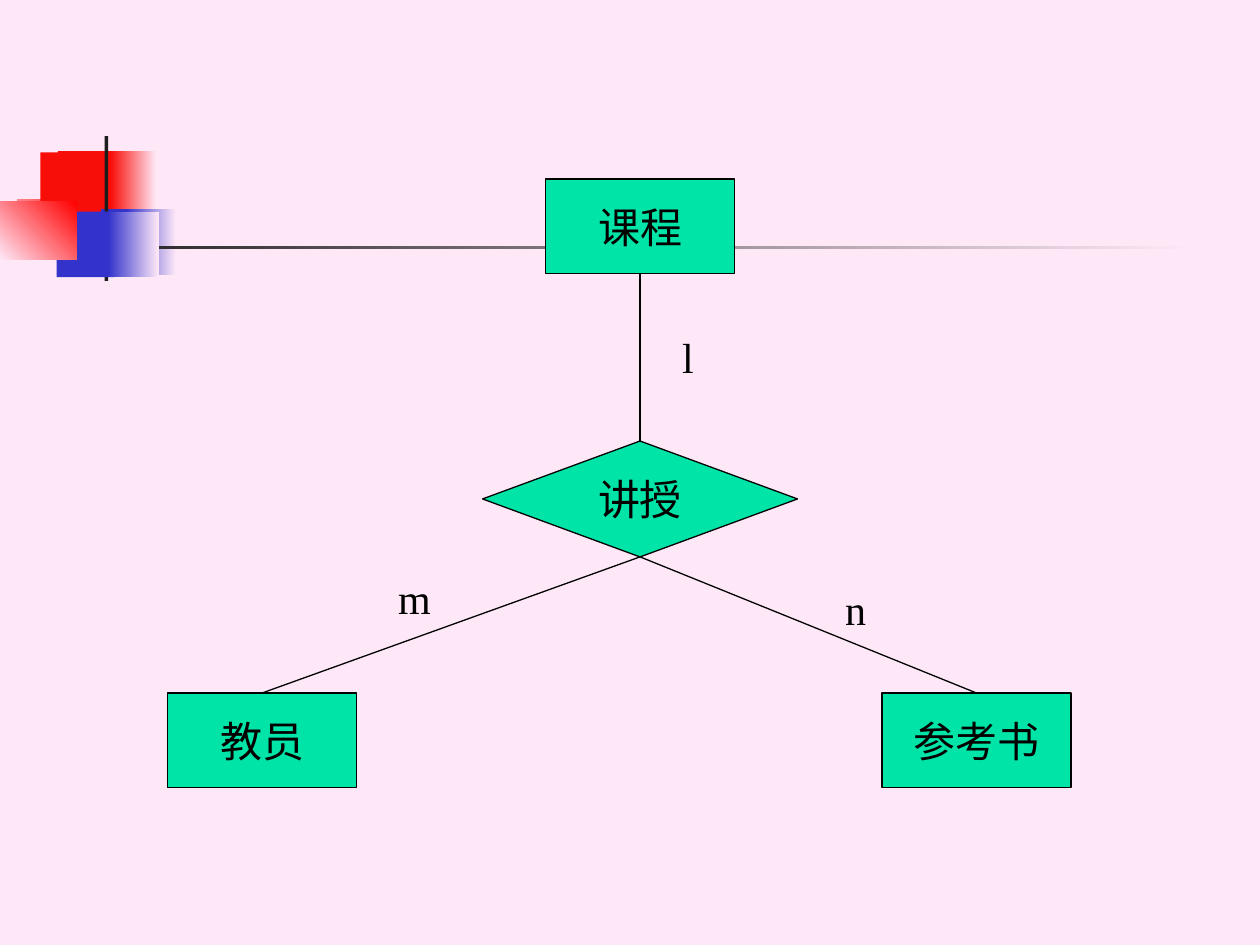
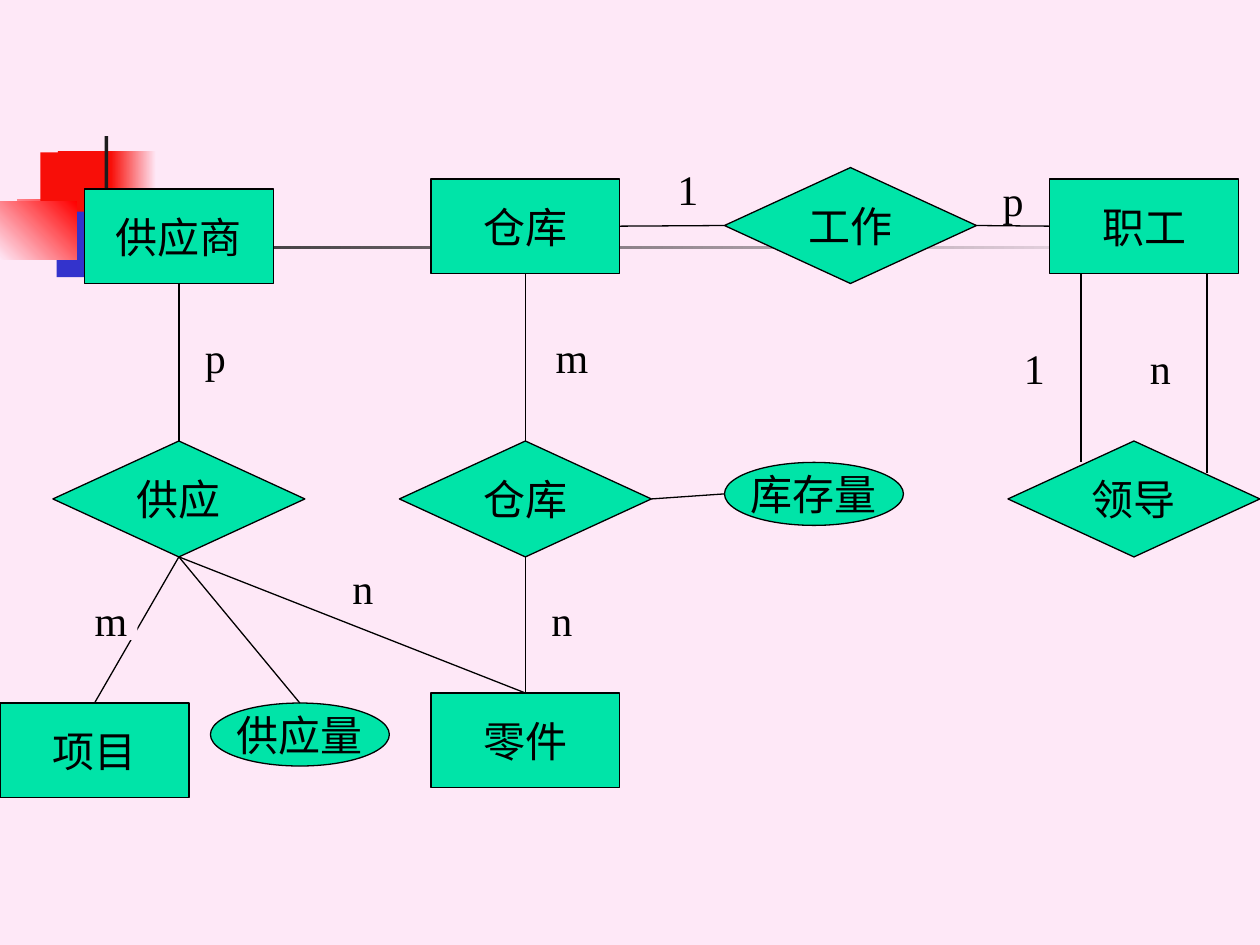
from dataclasses import dataclass

from lxml.etree import SubElement
from pptx import Presentation
from pptx.dml.color import RGBColor
from pptx.enum.shapes import MSO_CONNECTOR, MSO_SHAPE
from pptx.enum.text import MSO_ANCHOR, PP_ALIGN
from pptx.oxml.ns import qn
from pptx.util import Inches, Pt


@dataclass(frozen=True)
class Theme:
    paper: str = "FEE8F7"
    node: str = "00E4A8"
    ink: str = "000000"
    bar: str = "1C1C1C"
    red: str = "F80E08"
    bright_red: str = "FF0000"
    blue: str = "3333CC"
    font: str = "Times New Roman"
    size: int = 24
    line: float = 0.75


T = Theme()
TOP, LEFT, BOTTOM, RIGHT = range(4)

# left, top, width, height, colours (two make a gradient), gradient angle
MOTIF = [
    (0.46, 1.2, 0.48, 0.52, [T.red], 0),
    (0.88, 1.2, 0.36, 0.52, [T.red, T.paper], 0),
    (0.59, 1.66, 0.46, 0.52, [T.blue], 0),
    (1, 1.66, 0.4, 0.52, [T.blue, T.paper], 0),
    (0.14, 1.58, 0.61, 0.46, [T.paper, T.bright_red], 45),
    (0.83, 1.08, 0.03, 1.15, [T.bar], 0),
    (0.48, 1.95, 9, 0.03, [T.bar, T.paper], 0),
    (0.32, 1.21, 0.48, 0.52, [T.red], 0),
    (0.45, 1.68, 0.46, 0.52, [T.blue], 0),
    (0.86, 1.68, 0.4, 0.52, [T.blue, T.paper], 0),
    (0, 1.6, 0.61, 0.46, [T.paper, T.bright_red], 45),
]

# preset, width, height
KINDS = {
    "entity": (MSO_SHAPE.RECTANGLE, 1.5, 0.75),
    "relation": (MSO_SHAPE.DIAMOND, 2, 0.92),
    "wide relation": (MSO_SHAPE.DIAMOND, 2.5, 0.92),
    "attribute": (MSO_SHAPE.OVAL, 1.42, 0.5),
}
LABEL_SIZE = (0.42, 0.33)

# nodes: kind, text, left, top; links: node, side, node, side;
# loose: from x, y to x, y; labels: text, left, top
DIAGRAMS = [
    {
        "nodes": {
            "course": ("entity", "课程", 4.33, 1.42),
            "teacher": ("entity", "教员", 1.33, 5.5),
            "book": ("entity", "参考书", 7, 5.5),
            "teach": ("wide relation", "讲授", 3.83, 3.5),
        },
        "links": [
            ("teach", BOTTOM, "teacher", TOP),
            ("teach", BOTTOM, "book", TOP),
            ("teach", TOP, "course", BOTTOM),
        ],
        "loose": [],
        "labels": [("l", 5.25, 2.67), ("m", 3.08, 4.58), ("n", 6.58, 4.67)],
    },
    {
        "nodes": {
            "supplier": ("entity", "供应商", 0.67, 1.5),
            "project": ("entity", "项目", 0, 5.58),
            "part": ("entity", "零件", 3.42, 5.5),
            "supply": ("relation", "供应", 0.42, 3.5),
            "warehouse": ("entity", "仓库", 3.42, 1.42),
            "staff": ("entity", "职工", 8.33, 1.42),
            "work": ("relation", "工作", 5.75, 1.33),
            "storage": ("relation", "仓库", 3.17, 3.5),
            "lead": ("relation", "领导", 8, 3.5),
            "stock": ("attribute", "库存量", 5.75, 3.67),
            "quantity": ("attribute", "供应量", 1.67, 5.58),
        },
        "links": [
            ("supply", BOTTOM, "project", TOP),
            ("supply", BOTTOM, "part", TOP),
            ("supply", TOP, "supplier", BOTTOM),
            ("warehouse", BOTTOM, "storage", TOP),
            ("storage", BOTTOM, "part", TOP),
            ("warehouse", RIGHT, "work", LEFT),
            ("work", RIGHT, "staff", LEFT),
            ("supply", BOTTOM, "quantity", TOP),
            ("storage", RIGHT, "stock", LEFT),
        ],
        "loose": [(8.58, 2.17, 8.58, 3.67), (9.58, 3.75, 9.58, 2.17)],
        "labels": [
            ("p", 1.5, 2.67), ("m", 0.67, 4.75), ("n", 2.67, 4.5),
            ("m", 4.33, 2.67), ("n", 4.25, 4.75), ("p", 7.83, 1.42),
            ("n", 9, 2.75), ("1", 8, 2.75), ("1", 5.25, 1.33),
        ],
    },
]


def rgb(code):
    return RGBColor.from_string(code)


def add_box(slide, preset, box, colours, angle=0):
    s = slide.shapes.add_shape(preset, *map(Inches, box))
    s.shadow.inherit = False
    s.line.fill.background()
    if len(colours) == 1:
        s.fill.solid()
        s.fill.fore_color.rgb = rgb(colours[0])
    else:
        s.fill.gradient()
        s.fill.gradient_angle = angle
        for stop, colour in zip(s.fill.gradient_stops, colours):
            stop.color.rgb = rgb(colour)
    return s


def set_line(line):
    line.color.rgb = rgb(T.ink)
    line.width = Pt(T.line)


def set_text(s, text):
    tf = s.text_frame
    tf.word_wrap = False
    tf.vertical_anchor = MSO_ANCHOR.MIDDLE
    p = tf.paragraphs[0]
    p.alignment = PP_ALIGN.CENTER
    r = p.add_run()
    r.text = text
    for name, value in {"name": T.font, "size": Pt(T.size)}.items():
        setattr(r.font, name, value)
    r.font.color.rgb = rgb(T.ink)


def add_node(slide, kind, text, left, top):
    preset, width, height = KINDS[kind]
    s = add_box(slide, preset, (left, top, width, height), [T.node])
    set_line(s.line)
    set_text(s, text)
    return s


def add_line(slide, ends):
    c = slide.shapes.add_connector(MSO_CONNECTOR.STRAIGHT, *ends)
    set_line(c.line)
    SubElement(c.element.spPr, qn("a:effectLst"))
    return c


def side_point(s, side):
    dx, dy = [(1, 0), (0, 1), (1, 2), (2, 1)][side]
    return s.left + s.width * dx // 2, s.top + s.height * dy // 2


def add_link(slide, start, start_side, end, end_side):
    c = add_line(slide, side_point(start, start_side) + side_point(end, end_side))
    for s, side, connect in ((start, start_side, c.begin_connect),
                             (end, end_side, c.end_connect)):
        # An oval numbers its sides differently, so only its top is joined.
        if s.auto_shape_type != MSO_SHAPE.OVAL or side == TOP:
            connect(s, side)


def add_motif(layout, slide):
    """Draw the corner motif on a slide, then move it to the shared layout."""
    for *box, colours, angle in MOTIF:
        s = add_box(slide, MSO_SHAPE.RECTANGLE, box, colours, angle)
        layout.shapes.element.append(s.element)


def add_diagram(slide, diagram):
    nodes = {key: add_node(slide, *node) for key, node in diagram["nodes"].items()}
    for start, start_side, end, end_side in diagram["links"]:
        add_link(slide, nodes[start], start_side, nodes[end], end_side)
    for ends in diagram["loose"]:
        add_line(slide, map(Inches, ends))
    for text, left, top in diagram["labels"]:
        s = add_box(slide, MSO_SHAPE.RECTANGLE, (left, top, *LABEL_SIZE), [T.paper])
        set_text(s, text)


def main():
    prs = Presentation()
    prs.slide_width, prs.slide_height = Inches(10), Inches(7.5)
    fill = prs.slide_master.background.fill
    fill.solid()
    fill.fore_color.rgb = rgb(T.paper)
    blank = prs.slide_layouts[6]
    slides = [prs.slides.add_slide(blank) for _ in DIAGRAMS]
    add_motif(blank, slides[0])
    for slide, diagram in zip(slides, DIAGRAMS):
        add_diagram(slide, diagram)
    prs.save("out.pptx")


if __name__ == "__main__":
    main()
